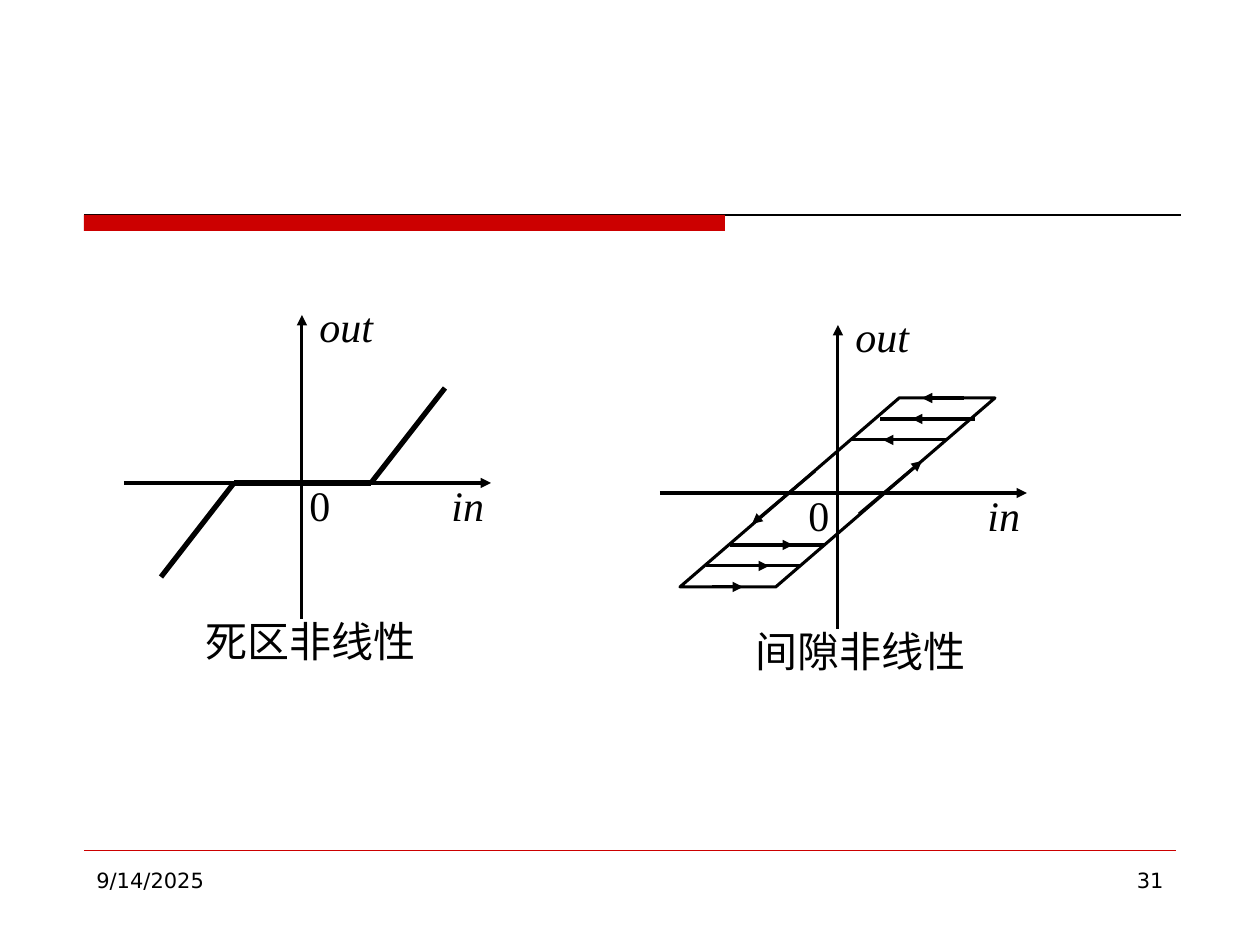
from dataclasses import dataclass

from lxml.etree import SubElement as Sub
from pptx import Presentation
from pptx.dml.color import RGBColor as Rgb
from pptx.enum.shapes import MSO_CONNECTOR as Conn, MSO_SHAPE as Kind
from pptx.enum.text import PP_ALIGN as Align
from pptx.oxml.ns import qn
from pptx.util import Pt

PX = 914400 // 126
INK = {"red": "CC0000", "black": "000000"}
SERIF, SANS = "Times New Roman", "DejaVu Sans"
THIN, AXIS, BOLD = 0.75, 1.75, 3


@dataclass
class Line:
    x1: int
    y1: int
    x2: int
    y2: int
    width: float = AXIS
    arrow: bool = False
    ink: str = "black"


@dataclass
class Graph:
    """Axes with origin (x, y); zero and title are label offsets from x."""
    x: int
    y: int
    zero: int
    title: str
    shift: int


@dataclass
class Row:
    """Hatch line: arrow from start to tip, plain on to end."""
    y: int
    start: int
    tip: int
    end: int


GRAPHS = [
    Graph(302, 483, -5, "死区非线性", -109),
    Graph(838, 493, -42, "间隙非线性", -95),
]
DEAD = [
    Line(234, 483, 161, 577, BOLD),
    Line(445, 388, 371, 483, BOLD),
    Line(234, 483, 371, 483, BOLD),
]
LOOP = [
    Line(815, 471, 752, 524, arrow=True),
    Line(859, 514, 922, 461, arrow=True),
    Line(964, 398, 922, 398, arrow=True),
    Line(712, 587, 743, 587, arrow=True),
]
ROWS = [
    Row(419, 975, 912, 880),
    Row(440, 946, 883, 851),
    Row(566, 706, 769, 800),
    Row(545, 730, 793, 824),
]


def color(name: str) -> Rgb:
    return Rgb.from_string(INK[name])


def draw(shapes, line: Line) -> None:
    ends = (line.x1, line.y1, line.x2, line.y2)
    item = shapes.add_connector(Conn.STRAIGHT, *(n * PX for n in ends))
    item.line.width = Pt(line.width)
    item.line.color.rgb = color(line.ink)
    if line.arrow:
        Sub(item.line._get_or_add_ln(), qn("a:tailEnd"), type="triangle")
    Sub(item._element.spPr, qn("a:effectLst"))


def write(shapes, text: str, x: int, y: int, w: int, h: int = 63, *,
          font: str = SERIF, size: int = 24, italic: bool = False,
          align: Align = Align.LEFT, wrap: bool = False) -> None:
    box = shapes.add_textbox(x * PX, y * PX, w * PX, h * PX)
    box.text_frame.word_wrap = wrap
    para = box.text_frame.paragraphs[0]
    para.alignment = align
    run = para.add_run()
    run.text = text
    run.font.name = font
    run.font.size = Pt(size)
    run.font.italic = italic
    run.font.color.rgb = color("black")


def frame(shapes) -> None:
    """Header bar, footer rule, date and page number."""
    draw(shapes, Line(84, 215, 1181, 215, THIN))
    bar = shapes.add_shape(Kind.RECTANGLE, 84 * PX, 215 * PX, 641 * PX, 16 * PX)
    bar.shadow.inherit = False
    bar.fill.solid()
    bar.fill.fore_color.rgb = color("red")
    bar.line.fill.background()
    draw(shapes, Line(84, 850, 1176, 850, 0.25, ink="red"))
    for text, x, align in [("9/14/2025", 84, Align.LEFT), ("31", 903, Align.RIGHT)]:
        write(shapes, text, x, 861, 273, 66, font=SANS, size=12,
              align=align, wrap=True)


def axes(shapes, g: Graph) -> None:
    draw(shapes, Line(g.x - 178, g.y, g.x + 189, g.y, arrow=True))
    draw(shapes, Line(g.x, g.y + 136, g.x, g.y - 168, arrow=True))
    write(shapes, "in", g.x + 137, g.y - 10, 58, italic=True)
    write(shapes, "out", g.x + 5, g.y - 189, 79, italic=True)
    write(shapes, "0", g.x + g.zero, g.y - 10, 47)
    write(shapes, g.title, g.x + g.shift, g.y + 126, 236)


def band(shapes) -> None:
    """Parallelogram of the backlash loop."""
    item = shapes.add_shape(Kind.PARALLELOGRAM,
                            680 * PX, 398 * PX, 315 * PX, 189 * PX)
    item.adjustments[0] = 1.16
    item.shadow.inherit = False
    item.fill.background()
    item.line.width = Pt(AXIS)
    item.line.color.rgb = color("black")


def main() -> None:
    deck = Presentation()
    deck.slide_width, deck.slide_height = 1260 * PX, 945 * PX
    shapes = deck.slides.add_slide(deck.slide_layouts[6]).shapes
    frame(shapes)
    for graph in GRAPHS:
        axes(shapes, graph)
    band(shapes)
    for line in DEAD + LOOP:
        draw(shapes, line)
    for row in ROWS:
        back = 10 if row.start > row.tip else -10
        draw(shapes, Line(row.start, row.y, row.tip, row.y, arrow=True))
        draw(shapes, Line(row.tip + back, row.y, row.end, row.y))
    deck.save("out.pptx")


if __name__ == "__main__":
    main()
